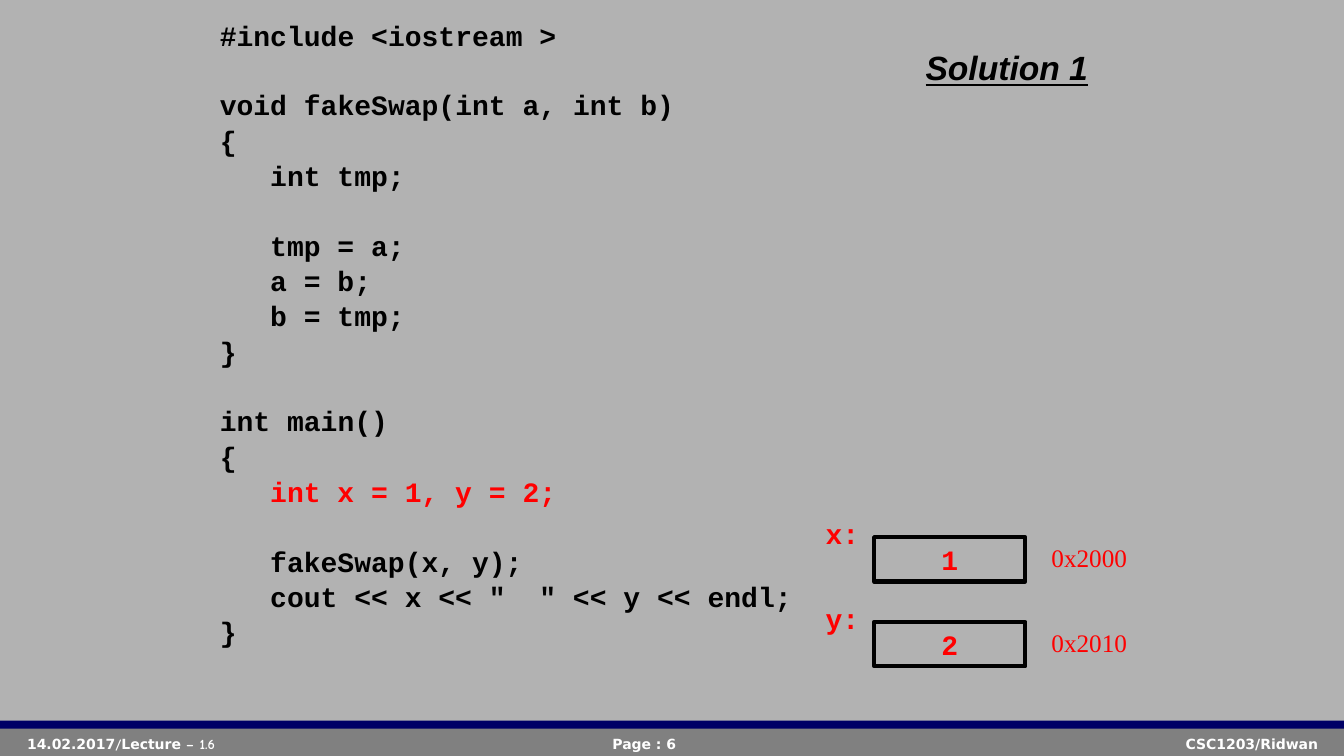
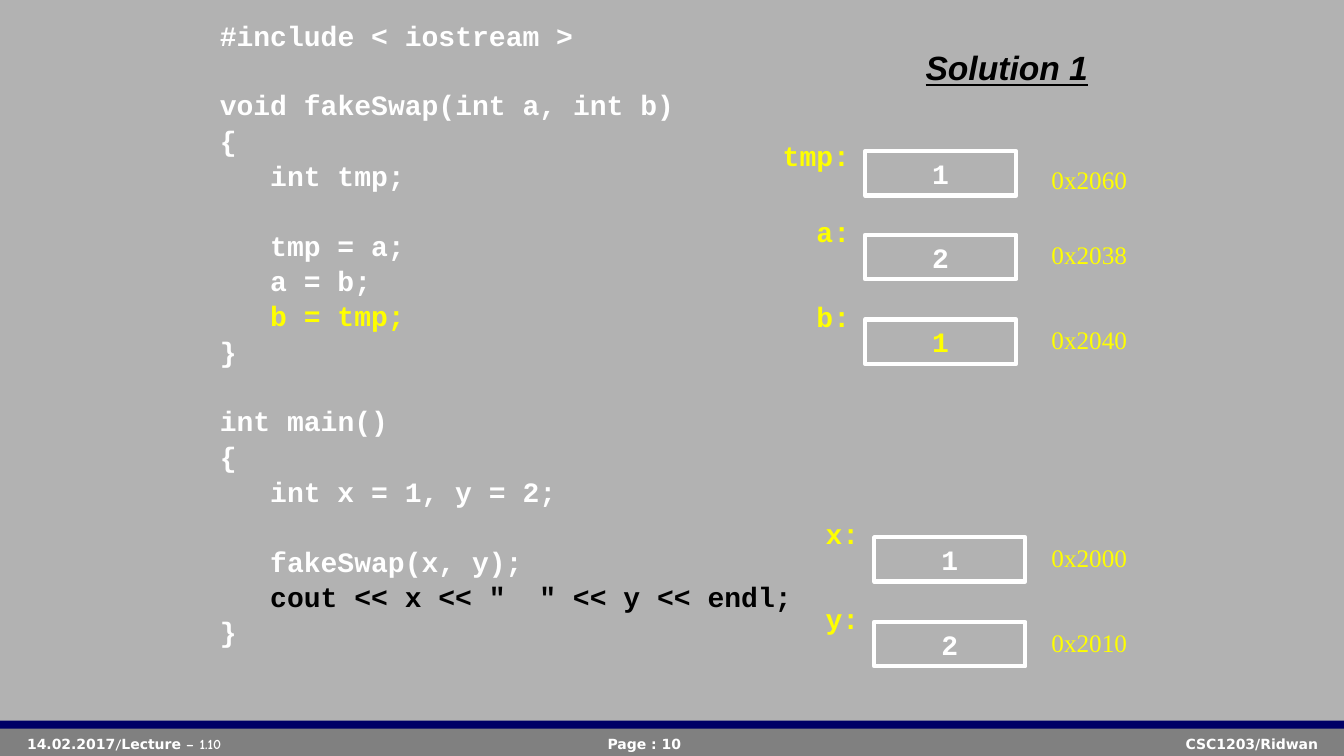
from dataclasses import dataclass

from pptx import Presentation
from pptx.dml.color import RGBColor
from pptx.enum.shapes import MSO_SHAPE
from pptx.enum.text import MSO_ANCHOR, MSO_AUTO_SIZE, PP_ALIGN
from pptx.oxml.ns import qn
from pptx.slide import Slide
from pptx.text.text import TextFrame, _Paragraph
from pptx.util import Inches, Pt

RECTANGLE = MSO_SHAPE.RECTANGLE
TOP, MIDDLE = MSO_ANCHOR.TOP, MSO_ANCHOR.MIDDLE
NO_AUTOFIT = MSO_AUTO_SIZE.NONE
LEFT, CENTER, RIGHT = PP_ALIGN.LEFT, PP_ALIGN.CENTER, PP_ALIGN.RIGHT

GRAY = RGBColor(0xB2, 0xB2, 0xB2)
DARK_GRAY = RGBColor(0x80, 0x80, 0x80)
NAVY = RGBColor(0x00, 0x00, 0x66)
BLACK = RGBColor(0x00, 0x00, 0x00)
WHITE = RGBColor(0xFF, 0xFF, 0xFF)
RED = RGBColor(0xFF, 0x00, 0x00)
YELLOW = RGBColor(0xFF, 0xFF, 0x00)

TITLE_FONT = "Arial"
CODE_FONT = "Courier New"
ADDRESS_FONT = "Times New Roman"
FOOTER_FONT = "DejaVu Sans"
FOOTER_ACCENT_FONT = "Comic Neue"

CODE_SIZE = 20
LINE_GAP = 10.85
LINE_PITCH = 24.45
CODE_INDENT = Inches(0.5)

PROGRAM = """
void fakeSwap(int a, int b)
{
   int tmp;

   tmp = a;
   a = b;
   b = tmp;
}

int main()
{
   int x = 1, y = 2;

   fakeSwap(x, y);
   cout << x << "  " << y << endl;
}"""


@dataclass(frozen=True)
class Variable:
    name: str
    value: str
    address: str
    left: float
    top: float
    value_color: RGBColor
    label_rise: float = 0.25
    address_drop: float = 0


@dataclass(frozen=True)
class Step:
    page: int
    include: str
    code_color: RGBColor
    box_color: RGBColor
    label_color: RGBColor
    highlights: dict[str, RGBColor]
    variables: list[Variable]


def main_variables(color: RGBColor) -> list[Variable]:
    return [
        Variable("x:", "1", "0x2000", 8.67, 5.33, color),
        Variable("y:", "2", "0x2010", 8.67, 6.17, color),
    ]


STEPS = [
    Step(6, "#include <iostream >", BLACK, BLACK, RED,
         {"int x = 1, y = 2;": RED}, main_variables(RED)),
    Step(10, "#include < iostream >", WHITE, WHITE, YELLOW,
         {"b = tmp;": YELLOW, 'cout << x << "  " << y << endl;': BLACK},
         main_variables(WHITE) + [
             Variable("tmp:", "1", "0x2060", 8.58, 1.5, WHITE, 0.17, 0.08),
             Variable("a:", "2", "0x2038", 8.58, 2.33, WHITE),
             Variable("b:", "1", "0x2040", 8.58, 3.17, YELLOW),
         ]),
]


def add_run(paragraph: _Paragraph, text: str, font: str, size: float,
            color: RGBColor, bold: bool = True) -> None:
    run = paragraph.add_run()
    run.text = text
    run.font.name = font
    run.font.size = Pt(size)
    run.font.bold = bold
    run.font.color.rgb = color


def add_text(slide: Slide, left: float, top: float, width: float, height: float,
             align: PP_ALIGN, wrap: bool = True) -> _Paragraph:
    frame = slide.shapes.add_textbox(
        Inches(left), Inches(top), Inches(width), Inches(height)).text_frame
    frame.word_wrap = wrap
    paragraph = frame.paragraphs[0]
    paragraph.alignment = align
    return paragraph


def add_band(slide: Slide, top: float, height: float, color: RGBColor) -> None:
    band = slide.shapes.add_shape(
        RECTANGLE, 0, Inches(top), Inches(13.33), Inches(height))
    band.shadow.inherit = False
    band.fill.solid()
    band.fill.fore_color.rgb = color
    band.line.fill.background()


def add_footer(slide: Slide, page: int) -> None:
    add_band(slide, 7.21, 0.29, DARK_GRAY)
    add_band(slide, 7.15, 0.08, NAVY)
    lecture = add_text(slide, 0.17, 7.25, 3.28, 0.25, LEFT)
    for text, font in (("14.02.2017", FOOTER_FONT), ("/", FOOTER_ACCENT_FONT),
                       ("Lecture", FOOTER_FONT), (f" – 1.{page}", FOOTER_ACCENT_FONT)):
        add_run(lecture, text, font, 10, WHITE)
    course = add_text(slide, 6.39, 7.25, 6.78, 0.25, RIGHT)
    add_run(course, "CSC1203/Ridwan", FOOTER_FONT, 10, WHITE)
    page_label = add_text(slide, 5, 7.25, 2.78, 0.25, CENTER)
    add_run(page_label, f"Page : {page}", FOOTER_FONT, 10, WHITE)


def place_placeholder(slide: Slide, index: int, left: float, top: float,
                      width: float, height: float) -> TextFrame:
    holder = slide.placeholders[index]
    holder.left, holder.top = Inches(left), Inches(top)
    holder.width, holder.height = Inches(width), Inches(height)
    frame = holder.text_frame
    frame.auto_size = NO_AUTOFIT
    frame.vertical_anchor = TOP
    frame.word_wrap = True
    return frame


def add_title(slide: Slide) -> None:
    title = place_placeholder(slide, 0, 9.08, 0.42, 2, 0.5).paragraphs[0]
    title.alignment = LEFT
    add_run(title, "Solution 1", TITLE_FONT, 24, BLACK)
    title.runs[0].font.italic = True
    title.runs[0].font.underline = True


def add_code(slide: Slide, step: Step) -> None:
    frame = place_placeholder(slide, 1, 2.08, 0.25, 6.2, 6.6)
    paragraph = frame.paragraphs[0]
    space_before = 0.0
    for line in [step.include, *PROGRAM.split("\n")]:
        if not line:
            space_before += LINE_PITCH
            continue
        if paragraph.runs:
            paragraph = frame.add_paragraph()
        paragraph.line_spacing = 0.6
        paragraph.space_before = Pt(space_before)
        statement = line.strip()
        properties = paragraph._p.get_or_add_pPr()
        properties.set("marL", str(CODE_INDENT if line != statement else 0))
        properties.set("indent", "0")
        properties.append(properties.makeelement(qn("a:buNone"), {}))
        color = step.highlights.get(statement, step.code_color)
        add_run(paragraph, statement, CODE_FONT, CODE_SIZE, color)
        space_before = LINE_GAP


def add_variable(slide: Slide, variable: Variable, step: Step) -> None:
    box = slide.shapes.add_shape(
        RECTANGLE, Inches(variable.left), Inches(variable.top), Inches(1.5), Inches(0.44))
    box.shadow.inherit = False
    box.fill.background()
    box.line.color.rgb = step.box_color
    box.line.width = Pt(3)
    box.text_frame.vertical_anchor = MIDDLE
    value = box.text_frame.paragraphs[0]
    value.alignment = CENTER
    add_run(value, variable.value, CODE_FONT, CODE_SIZE, variable.value_color)

    label = add_text(slide, variable.left - 1.05, variable.top - variable.label_rise,
                     1, 0.43, RIGHT)
    add_run(label, variable.name, CODE_FONT, CODE_SIZE, step.label_color)
    address = add_text(slide, 10.33, variable.top + variable.address_drop,
                       0.95, 0.4, LEFT, wrap=False)
    add_run(address, variable.address, ADDRESS_FONT, 18, step.label_color, bold=False)


def main() -> None:
    presentation = Presentation()
    presentation.slide_width = Inches(13.33)
    presentation.slide_height = Inches(7.5)
    background = presentation.slide_master.background.fill
    background.solid()
    background.fore_color.rgb = GRAY
    for step in STEPS:
        slide = presentation.slides.add_slide(presentation.slide_layouts[1])
        add_footer(slide, step.page)
        add_title(slide)
        add_code(slide, step)
        for variable in step.variables:
            add_variable(slide, variable, step)
    presentation.save("out.pptx")


if __name__ == "__main__":
    main()
